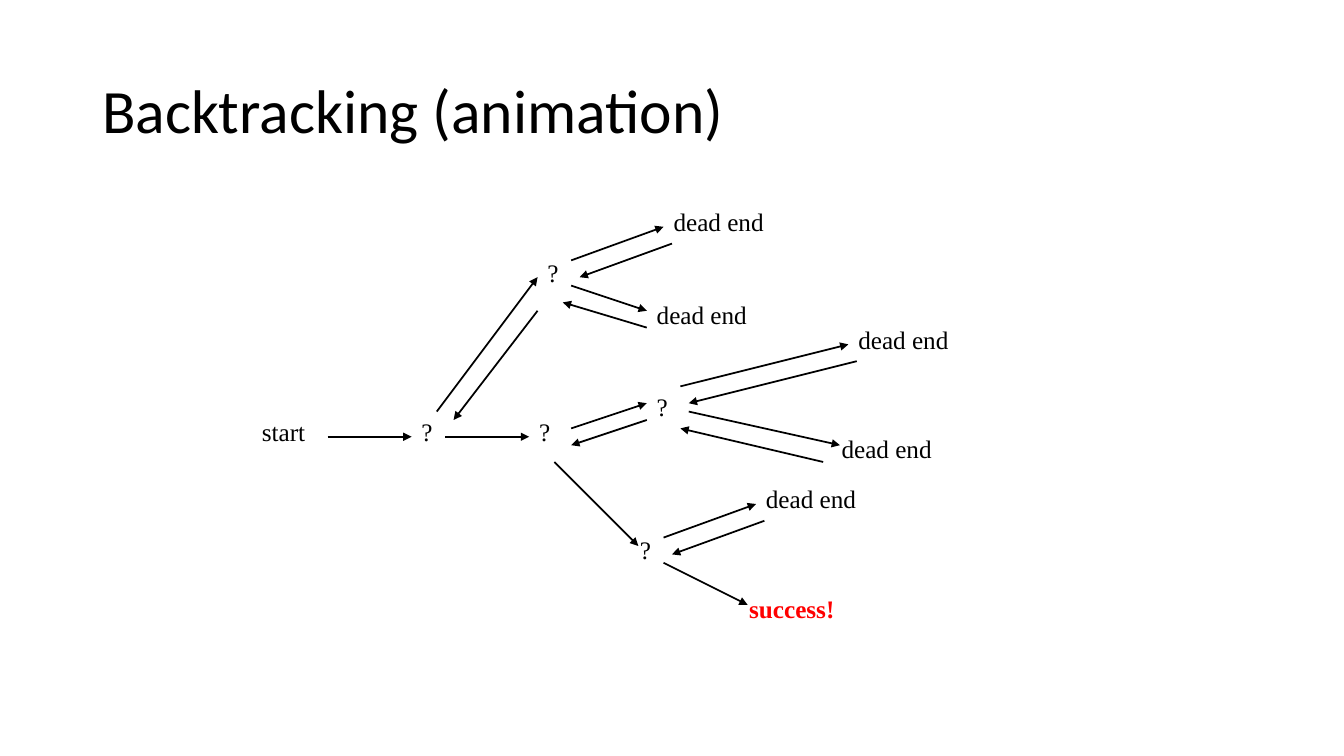
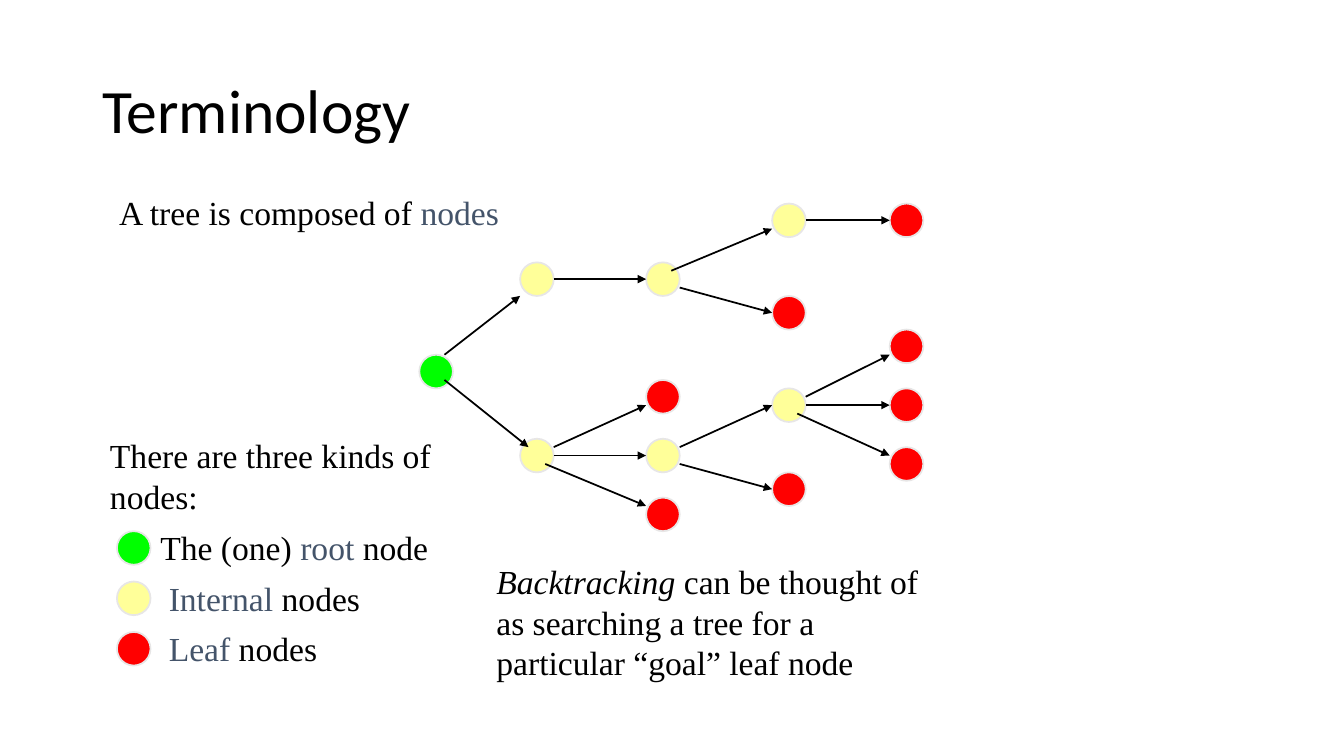
from lxml.etree import SubElement
from pptx import Presentation
from pptx.dml.color import RGBColor
from pptx.enum.shapes import MSO_CONNECTOR as Connector, MSO_SHAPE as Shape
from pptx.enum.text import MSO_ANCHOR as Anchor
from pptx.oxml.ns import qn
from pptx.util import Pt

BLACK = RGBColor(0x00, 0x00, 0x00)
SLATE = RGBColor(0x44, 0x54, 0x6A)
PALE_GREY = RGBColor(0xE7, 0xE6, 0xE6)
GREEN = RGBColor(0x00, 0xFF, 0x00)
YELLOW = RGBColor(0xFF, 0xFF, 0x99)
RED = RGBColor(0xFF, 0x00, 0x00)

TITLE_FONT = {"name": "Calibri", "size": Pt(44)}
LABEL_FONT = {"name": "Times New Roman", "size": Pt(18)}
BODY_FONT = {"name": "Times New Roman", "size": Pt(24)}
BOLD = {"bold": True}
ITALIC = {"italic": True}

GRID = 6
NODE_SIZE = 24
LINE_WIDTH = 1.25
LABEL_HEIGHT = 28.8
LABEL_WIDTHS = {"start": 60, "?": 36, "dead end": 126, "success!": 126}
TREE_ORIGIN = (299.5, 145.4)

SEARCH_LABELS = [
    ("start", 30, 49), ("?", 49, 49), ("?", 64, 30), ("?", 63, 49),
    ("?", 77, 46), ("?", 75, 63),
    ("dead end", 79, 24), ("dead end", 77, 35), ("dead end", 101, 38),
    ("dead end", 99, 51), ("dead end", 90, 57), ("success!", 88, 70),
]
SEARCH_ARROWS = [
    (39, 52, 49, 52), (53, 52, 63, 52),
    (52, 49, 64, 33), (64, 37, 54, 50),
    (68, 31, 79, 27), (80, 29, 69, 33),
    (68, 34, 77, 37), (77, 39, 67, 36),
    (68, 51, 77, 48), (77, 50, 68, 53),
    (81, 46, 101, 41), (102, 43, 82, 48),
    (82, 49, 100, 53), (98, 55, 81, 51),
    (66, 55, 76, 65),
    (79, 64, 90, 60), (91, 62, 80, 66),
    (79, 67, 89, 72),
]
TREE_NODES = {
    GREEN: [(0, 18)],
    YELLOW: [(12, 7), (27, 7), (42, 0), (12, 28), (27, 28), (42, 22)],
    RED: [(27, 21), (27, 35), (42, 11), (42, 32),
          (56, 0), (56, 15), (56, 22), (56, 29)],
}
TREE_ARROWS = [
    (3, 21, 13, 29), (3, 18, 12, 11), (16, 9, 27, 9),
    (30, 8, 42, 3), (31, 10, 42, 13), (46, 2, 56, 2),
    (16, 29, 27, 24), (16, 30, 27, 30), (15, 31, 27, 36),
    (31, 29, 42, 24), (31, 31, 42, 34),
    (46, 23, 56, 18), (46, 24, 56, 24), (45, 25, 56, 30),
]
LEGEND = [
    (GREEN, 107.5, [("The (one) ", BLACK), ("root", SLATE), (" node", BLACK)]),
    (YELLOW, 113.5, [("Internal", SLATE), (" nodes", BLACK)]),
    (RED, 113.5, [("Leaf", SLATE), (" nodes", BLACK)]),
]


def add_text(page, frame, spans, font):
    box = page.shapes.add_textbox(*map(Pt, frame))
    box.text_frame.word_wrap = True
    para = box.text_frame.paragraphs[0]
    for text, color, *extra in spans:
        span = para.add_run()
        span.text = text
        formats = dict(font)
        for more in extra:
            formats.update(more)
        for name, value in formats.items():
            setattr(span.font, name, value)
        span.font.color.rgb = color
    return box


def add_page(deck, title):
    page = deck.slides.add_slide(deck.slide_layouts[6])
    box = add_text(page, (66, 28.8, 828, 104.4), [(title, BLACK)], TITLE_FONT)
    box.text_frame.vertical_anchor = Anchor.MIDDLE
    box.text_frame.paragraphs[0].line_spacing = 0.9
    return page


def set_line(shape, color):
    shape.line.color.rgb = color
    shape.line.width = Pt(LINE_WIDTH)


def add_arrows(page, arrows, origin=(0, 0)):
    left, top = origin
    for x1, y1, x2, y2 in arrows:
        ends = (left + x1 * GRID, top + y1 * GRID,
                left + x2 * GRID, top + y2 * GRID)
        arrow = page.shapes.add_connector(Connector.STRAIGHT, *map(Pt, ends))
        set_line(arrow, BLACK)
        properties = arrow.element.spPr
        SubElement(properties.find(qn("a:ln")), qn("a:tailEnd"), type="triangle")
        SubElement(properties, qn("a:effectLst"))


def add_node(page, left, top, color):
    node = page.shapes.add_shape(
        Shape.OVAL, Pt(left), Pt(top), Pt(NODE_SIZE), Pt(NODE_SIZE))
    node.shadow.inherit = False
    node.fill.solid()
    node.fill.fore_color.rgb = color
    set_line(node, PALE_GREY)


def add_label(page, text, column, row):
    span = (text, RED, BOLD) if text == "success!" else (text, BLACK)
    frame = (column * GRID, row * GRID, LABEL_WIDTHS[text], LABEL_HEIGHT)
    add_text(page, frame, [span], LABEL_FONT)


def add_tree(page):
    left, top = TREE_ORIGIN
    for color, places in TREE_NODES.items():
        for column, row in places:
            add_node(page, left + column * GRID, top + row * GRID, color)
    add_arrows(page, TREE_ARROWS, TREE_ORIGIN)


def add_legend(page):
    for index, (color, text_left, spans) in enumerate(LEGEND):
        top = 379.4 + index * 36
        add_node(page, 83.5, top, color)
        add_text(page, (text_left, top - 6.4, 294, 36.7), spans, BODY_FONT)


def build_backtracking(deck):
    page = add_page(deck, "Backtracking (animation)")
    for label in SEARCH_LABELS:
        add_label(page, *label)
    add_arrows(page, SEARCH_ARROWS)


def build_terminology(deck):
    page = add_page(deck, "Terminology")
    add_tree(page)
    add_text(page, (78, 133.2, 300, 80),
             [("A tree is composed of ", BLACK), ("nodes", SLATE)], BODY_FONT)
    add_text(page, (71.5, 307.4, 252, 65.5),
             [("There are three kinds of nodes:", BLACK)], BODY_FONT)
    add_legend(page)
    add_text(page, (347.5, 397.4, 318, 94.3),
             [("Backtracking", BLACK, ITALIC),
              (" can be thought of as searching a tree for a "
               "particular “goal” leaf node", BLACK)], BODY_FONT)


def main():
    deck = Presentation()
    deck.slide_width, deck.slide_height = Pt(960), Pt(540)
    build_backtracking(deck)
    build_terminology(deck)
    deck.save("out.pptx")


if __name__ == "__main__":
    main()
